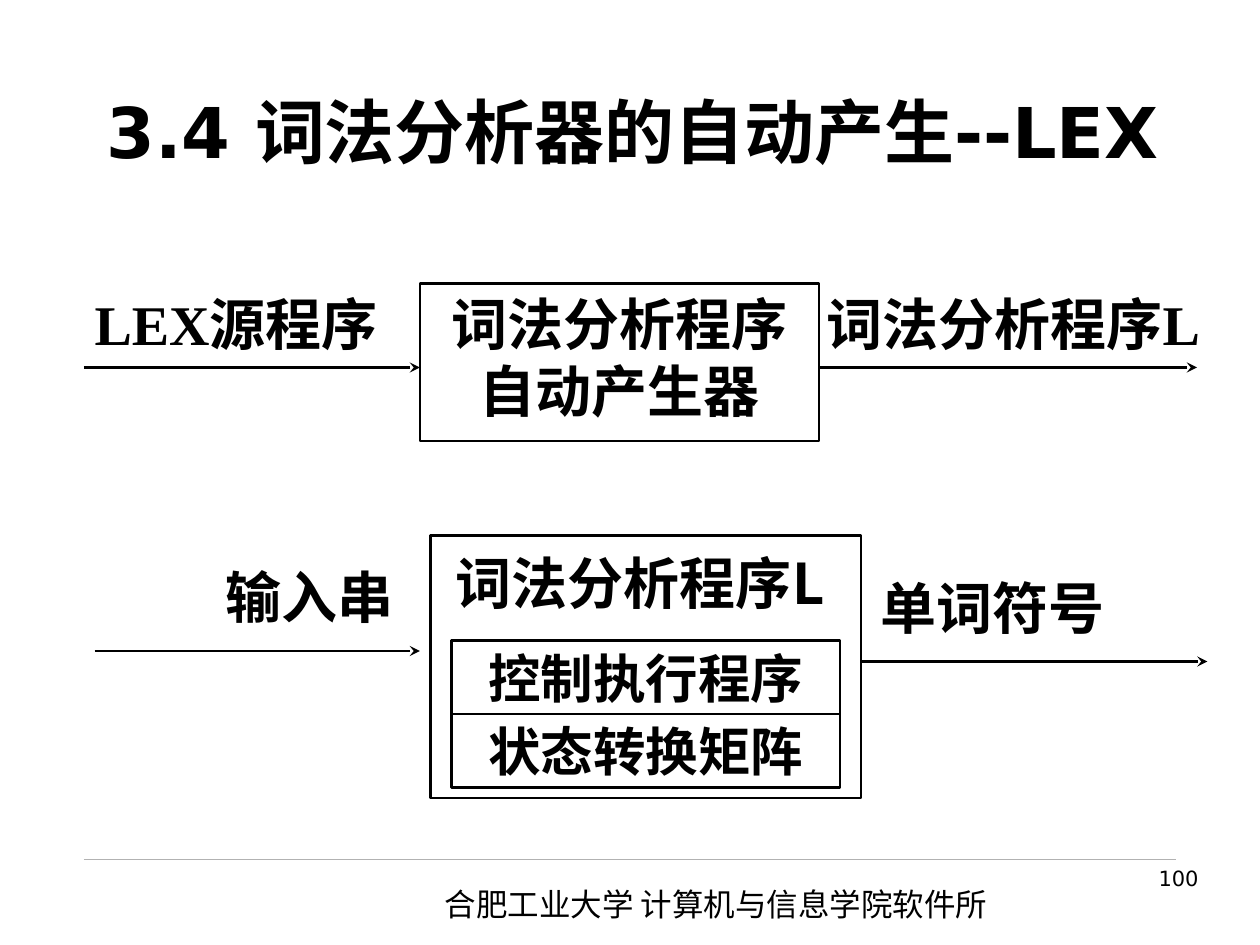
from lxml import etree
from pptx import Presentation
from pptx.dml.color import RGBColor
from pptx.enum import shapes, text
from pptx.oxml.ns import qn
from pptx.util import Pt

COLORS = {"ink": "000000", "rule": "B2B2B2"}
SANS, SERIF, CJK = "DejaVu Sans", "Times New Roman", "Noto Sans CJK SC"
ALIGN, ANCHOR = text.PP_ALIGN, text.MSO_ANCHOR


def color(name):
    return RGBColor.from_string(COLORS[name])


def write(sp, words, size, font, bold=True, align=ALIGN.CENTER,
          anchor=ANCHOR.TOP, wrap=True):
    tf = sp.text_frame
    tf.text = words
    tf.word_wrap = wrap
    tf.vertical_anchor = anchor
    p = tf.paragraphs[0]
    p.alignment = align
    f = p.runs[0].font
    f.size, f.bold, f.name = Pt(size), bold, font
    f.color.rgb = color("ink")
    etree.SubElement(p.runs[0]._r.get_or_add_rPr(), qn("a:ea"), typeface=CJK)
    return sp


def add_label(s, box, words, size=32, font=CJK, **style):
    sp = s.shapes.add_textbox(*map(Pt, box))
    return write(sp, words, size, font, **style)


def add_box(s, box, words, size=32, font=CJK, **style):
    sp = s.shapes.add_shape(shapes.MSO_SHAPE.RECTANGLE, *map(Pt, box))
    sp.shadow.inherit = False
    sp.fill.background()
    sp.line.color.rgb = color("ink")
    sp.line.width = Pt(1.5)
    return write(sp, words, size, font, **style)


def add_line(s, x1, x2, y, name="ink", width=1.5, arrow=True):
    """Draw a level line, with a stealth head at its right end if arrow."""
    c = s.shapes.add_connector(shapes.MSO_CONNECTOR.STRAIGHT,
                               Pt(x1), Pt(y), Pt(x2), Pt(y))
    c.line.color.rgb = color(name)
    c.line.width = Pt(width)
    if arrow:
        etree.SubElement(c.line._get_or_add_ln(), qn("a:tailEnd"), type="stealth")
    etree.SubElement(c._element.spPr, qn("a:effectLst"))


def add_footer(s, x, y, w):
    add_line(s, x, x + w, y, "rule", 0.25, arrow=False)
    add_label(s, (x + 199, y + 11, 340, 29), "合肥工业大学 计算机与信息学院软件所",
              18, bold=False, align=ALIGN.LEFT)
    add_label(s, (x + 488, y, 156, 37), "100", 12, SANS,
              bold=False, align=ALIGN.RIGHT)


def add_generator(s, x, y, w, h):
    """LEX source goes into the generator, analyser L comes out."""
    add_box(s, (x, y, w, h), "词法分析程序自动产生器", font=SERIF)
    add_label(s, (x + w - 12, y, 246, 48), "词法分析程序L", font=SERIF)
    add_label(s, (x - 204, y, 198, 48), "LEX源程序", font=SERIF)
    add_line(s, x - 192, x, y + 48)
    add_line(s, x + w, x + w + 216, y + 48)


def add_analyser(s, x, y, w, h):
    """An input string goes into analyser L, word symbols come out."""
    sp = add_box(s, (x, y, w, h), "词法分析程序L", align=ALIGN.JUSTIFY)
    sp.text_frame.margin_left = Pt(14.4)
    sp.text_frame.paragraphs[0].line_spacing = 1.1
    add_label(s, (x + w - 24, y + 18, 198, 48), "单词符号")
    add_label(s, (x - 168, y + 12, 198, 48), "输入串")
    add_line(s, x - 192, x - 6, y + 66)
    add_line(s, x + w, x + w + 198, y + 72)
    row_h = 42
    for i, part in enumerate(("控制执行程序", "状态转换矩阵")):
        add_box(s, (x + 12, y + 60 + i * row_h, w - 24, row_h), part, 30,
                anchor=ANCHOR.MIDDLE, wrap=False)


def main():
    prs = Presentation()
    prs.slide_width, prs.slide_height = Pt(720), Pt(540)
    s = prs.slides.add_slide(prs.slide_layouts[6])
    add_footer(s, 48, 491, 624)
    add_label(s, (54, 42, 618, 60), "3.4 词法分析器的自动产生--LEX", 40, SANS,
              align=ALIGN.LEFT, anchor=ANCHOR.BOTTOM)
    add_generator(s, 240, 162, 228, 90)
    add_analyser(s, 246, 306, 246, 150)
    prs.save("out.pptx")


if __name__ == "__main__":
    main()
